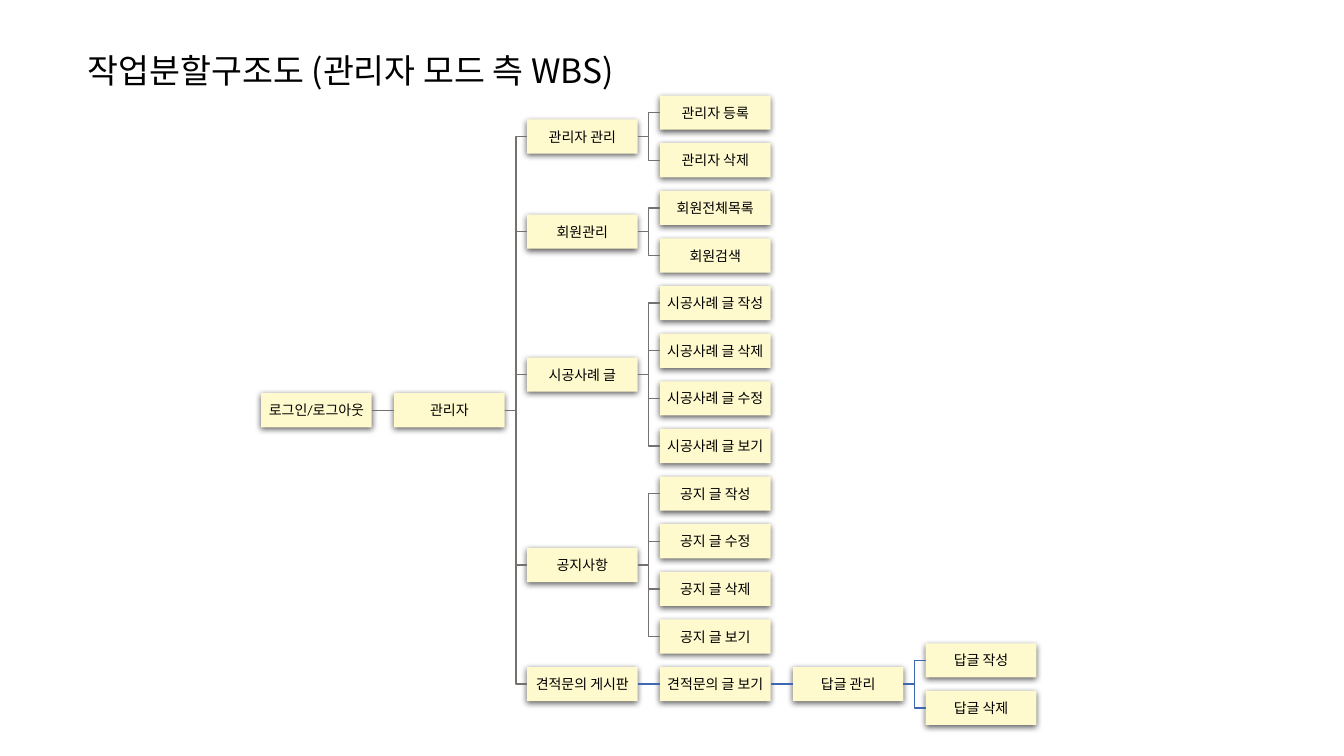
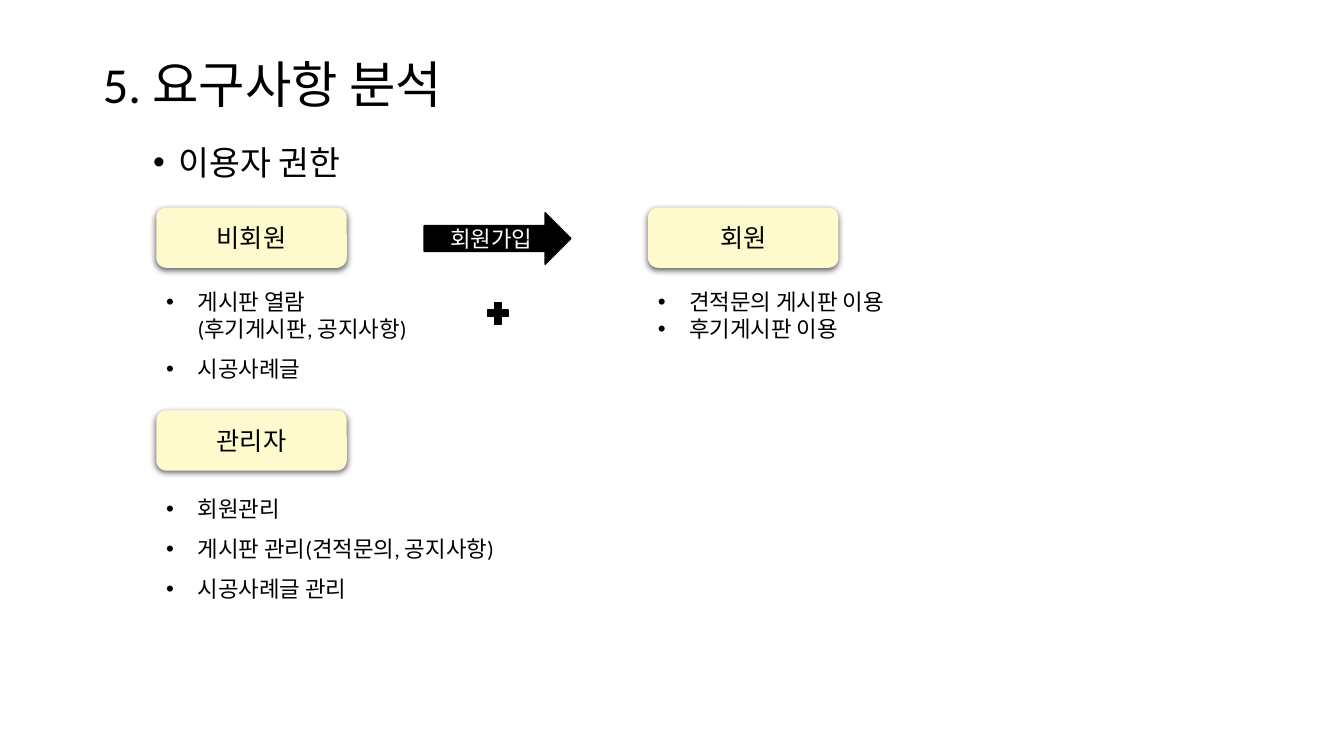
from dataclasses import dataclass
from itertools import count

from lxml import etree
from pptx import Presentation
from pptx.dml.color import RGBColor
from pptx.enum.shapes import MSO_CONNECTOR as LINK, MSO_SHAPE as SHAPE
from pptx.enum.text import MSO_ANCHOR as ANCHOR, MSO_AUTO_SIZE as FIT, PP_ALIGN as ALIGN
from pptx.oxml.ns import qn
from pptx.util import Cm, Pt

COLORS = {"text": "000000", "inverse": "FFFFFF", "card": "FFFACD",
          "gray": "767171", "blue": "3E67B2"}
BODY_FONT = "Calibri"
TITLE_FONT = "Noto Sans CJK SC"
TITLE_ONLY = 5
LEFT, RIGHT = 1, 3
NODE_WIDTH, NODE_HEIGHT = 2.79, 0.86
COLUMN_STEP, ROW_STEP = 3.35, 1.2
CARD_WIDTH, CARD_HEIGHT = 4.8, 1.52


@dataclass
class Node:
    text: str
    children: tuple = ()
    link: str = "gray"


def branch(text, *names):
    return Node(text, tuple(Node(name) for name in names))


REPLIES = Node("답글 관리", (Node("답글 작성"), Node("답글 삭제")), "blue")
INQUIRIES = Node("견적문의 게시판", (Node("견적문의 글 보기", (REPLIES,), "blue"),), "blue")
ADMIN = Node("관리자", (
    branch("관리자 관리", "관리자 등록", "관리자 삭제"),
    branch("회원관리", "회원전체목록", "회원검색"),
    branch("시공사례 글", "시공사례 글 작성", "시공사례 글 삭제",
           "시공사례 글 수정", "시공사례 글 보기"),
    branch("공지사항", "공지 글 작성", "공지 글 수정", "공지 글 삭제", "공지 글 보기"),
    INQUIRIES,
))
WBS = Node("로그인/로그아웃", (ADMIN,))


def set_all(target, **values):
    for name, value in values.items():
        setattr(target, name, value)


def color(name):
    return RGBColor.from_string(COLORS[name])


def place(box):
    return [Cm(length) for length in box]


def style_para(para, text, size, font=BODY_FONT, ink="text", **values):
    set_all(para, **values)
    span = para.add_run()
    set_all(span, text=text)
    set_all(span.font, name=font, size=Pt(size))
    span.font.color.rgb = color(ink)


def set_indent(para, margin, bullet=True):
    properties = para._p.get_or_add_pPr()
    properties.set("marL", str(Cm(margin)))
    properties.set("indent", str(-Cm(margin) if bullet else 0))
    if bullet:
        etree.SubElement(properties, qn("a:buFont")).set("typeface", "Arial")
        etree.SubElement(properties, qn("a:buChar")).set("char", "•")


def add_shadow(shape):
    effects = shape._element.spPr.find(qn("a:effectLst"))
    shadow = etree.SubElement(effects, qn("a:outerShdw"), blurRad=str(Pt(4.5)),
                              dist=str(Pt(1.5)), dir="5400000", algn="ctr", rotWithShape="0")
    tint = etree.SubElement(shadow, qn("a:srgbClr"), val=COLORS["text"])
    etree.SubElement(tint, qn("a:alpha"), val="63000")


def add_block(page, kind, box, fill):
    shape = page.shapes.add_shape(kind, *place(box))
    shape.shadow.inherit = False
    shape.fill.solid()
    shape.fill.fore_color.rgb = color(fill)
    return shape


def add_card(page, kind, box, text, size, **frame_values):
    card = add_block(page, kind, box, "card")
    card.line.fill.background()
    add_shadow(card)
    set_all(card.text_frame, vertical_anchor=ANCHOR.MIDDLE, **frame_values)
    style_para(card.text_frame.paragraphs[0], text, size, alignment=ALIGN.CENTER)
    return card


def add_black_shape(page, kind, box):
    shape = add_block(page, kind, box, "text")
    shape.line.color.rgb = color("text")
    shape.line.width = Pt(1)
    return shape


def add_text_box(page, box):
    frame = page.shapes.add_textbox(*place(box)).text_frame
    frame.word_wrap = True
    return frame


def add_page(deck, title, box, size, font):
    page = deck.slides.add_slide(deck.slide_layouts[TITLE_ONLY])
    holder = page.shapes.title
    left, top, width, height = place(box)
    set_all(holder, left=left, top=top, width=width, height=height)
    set_all(holder.text_frame, word_wrap=True, auto_size=FIT.NONE,
            vertical_anchor=ANCHOR.MIDDLE)
    style_para(holder.text_frame.paragraphs[0], title, size, font, alignment=ALIGN.LEFT)
    return page


def connect(page, parent, child, link):
    kind = LINK.STRAIGHT if parent.top == child.top else LINK.ELBOW
    line = page.shapes.add_connector(kind, 0, 0, 0, 0)
    line.begin_connect(parent, RIGHT)
    line.end_connect(child, LEFT)
    line.line.color.rgb = color(link)
    line.line.width = Pt(1)
    etree.SubElement(line._element.spPr, qn("a:effectLst"))


def draw_tree(page, origin, node, leaf_rows, column=0):
    branches = [draw_tree(page, origin, child, leaf_rows, column + 1)
                for child in node.children]
    if branches:
        row = (branches[0][1] + branches[-1][1]) / 2
    else:
        row = next(leaf_rows[column])
    left, top = origin
    box = (left + column * COLUMN_STEP, top + row * ROW_STEP, NODE_WIDTH, NODE_HEIGHT)
    inset = Cm(0.03)
    card = add_card(page, SHAPE.RECTANGLE, box, node.text, 10, margin_left=inset,
                    margin_right=inset, margin_top=inset, margin_bottom=inset)
    for child, _ in branches:
        connect(page, card, child, node.link)
    return card, row


def draw_role(page, box, name, rights, list_top):
    left, top, width, height = box
    add_card(page, SHAPE.ROUNDED_RECTANGLE, (left, top, CARD_WIDTH, CARD_HEIGHT), name, 18)
    frame = add_text_box(page, (left, top + list_top, width, height - list_top))
    for index, (text, spacing, bullet) in enumerate(rights):
        para = frame.add_paragraph() if index else frame.paragraphs[0]
        style_para(para, text, 16, line_spacing=spacing)
        set_indent(para, 0.79, bullet)


def draw_signup(page, box):
    left, top, width, height = box
    arrow = add_black_shape(page, SHAPE.RIGHT_ARROW, (left, top, width, 1.3))
    arrow.text_frame.vertical_anchor = ANCHOR.MIDDLE
    style_para(arrow.text_frame.paragraphs[0], "회원가입", 16, ink="inverse",
               alignment=ALIGN.CENTER)
    add_black_shape(page, SHAPE.MATH_PLUS, (left + 1.5, top + height - 0.76, 0.71, 0.76))


def build_wbs(deck):
    page = add_page(deck, "작업분할구조도 (관리자 모드 측 WBS)",
                    (1.96, 1.14, 15.5, 1.27), 24, TITLE_FONT)
    draw_tree(page, (6.58, 2.41), WBS, {3: count(0), 5: count(11.5)})


def build_requirements(deck):
    page = add_page(deck, "5. 요구사항 분석", (2.34, 1.19, 13.18, 1.8), 36, BODY_FONT)
    heading = add_text_box(page, (3.61, 3.56, 27.9, 1.3)).paragraphs[0]
    style_para(heading, "이용자 권한", 24, line_spacing=0.9, space_before=Pt(5))
    set_indent(heading, 0.64)
    draw_role(page, (3.94, 5.23, 7.62, 6.02), "비회원", [
        ("게시판 열람", 1.0, True),
        ("(후기게시판, 공지사항)", 1.0, False),
        ("시공사례글", 1.5, True),
    ], 1.91)
    draw_signup(page, (10.69, 5.36, 3.7, 2.92))
    draw_role(page, (16.33, 5.23, 7.62, 3.54), "회원", [
        ("견적문의 게시판 이용", 1.0, True),
        ("후기게시판 이용", 1.0, True),
    ], 1.91)
    draw_role(page, (3.94, 10.34, 9.68, 6.55), "관리자", [
        ("회원관리", 1.5, True),
        ("게시판 관리(견적문의, 공지사항)", 1.5, True),
        ("시공사례글 관리", 1.5, True),
    ], 1.67)


def main():
    deck = Presentation()
    set_all(deck, slide_width=Cm(33.87), slide_height=Cm(19.05))
    build_wbs(deck)
    build_requirements(deck)
    deck.save("out.pptx")


if __name__ == "__main__":
    main()
